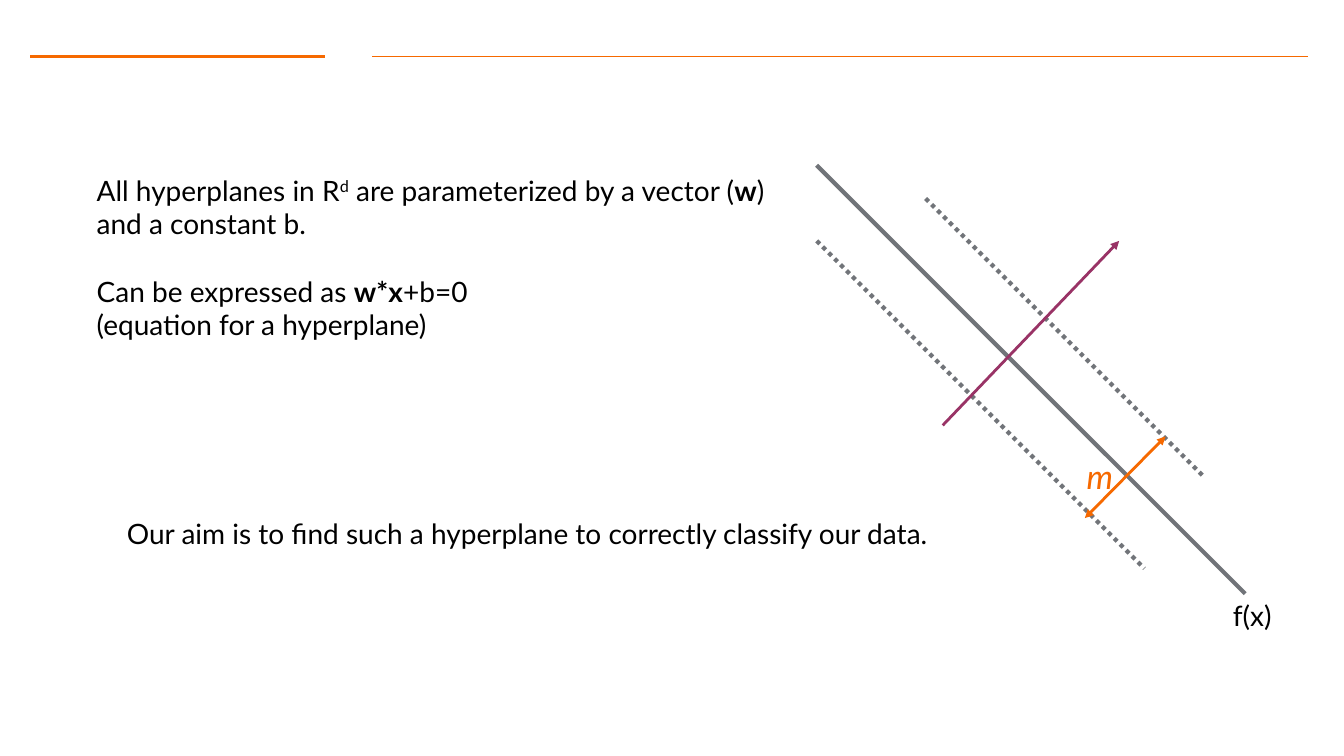
from lxml.etree import SubElement
from pptx import Presentation
from pptx.dml.color import RGBColor
from pptx.enum.dml import MSO_LINE_DASH_STYLE as Dash
from pptx.enum.shapes import MSO_CONNECTOR as Connector
from pptx.enum.text import MSO_AUTO_SIZE as AutoSize
from pptx.oxml.ns import qn
from pptx.util import Inches, Pt

ORANGE, GREY, PURPLE, BLACK = "F66900", "717479", "993366", "000000"


def colour(value):
    return RGBColor.from_string(value)


class HyperplanePage:
    font_name = "Lato"

    def __init__(self, page):
        self.page = page

    def line(self, start, end, shade, width, dash=None, arrows=()):
        points = [Inches(value) for value in (*start, *end)]
        connector = self.page.shapes.add_connector(Connector.STRAIGHT, *points)
        connector.line.color.rgb = colour(shade)
        for name, value in {"width": Pt(width), "dash_style": dash}.items():
            setattr(connector.line, name, value)
        properties = connector._element.spPr
        outline = properties.find(qn("a:ln"))
        for arrow in arrows:
            SubElement(outline, qn(f"a:{arrow}"), type="triangle")
        SubElement(properties, qn("a:effectLst"))

    def text(self, place, paragraphs, size=20, shade=BLACK, wrap=True, gaps=None):
        box = self.page.shapes.add_textbox(*[Inches(value) for value in place])
        frame = box.text_frame
        for name, value in {"word_wrap": wrap, "auto_size": AutoSize.SHAPE_TO_FIT_TEXT}.items():
            setattr(frame, name, value)
        for index, spans in enumerate(paragraphs):
            para = frame.add_paragraph() if index else frame.paragraphs[0]
            if gaps and index in gaps:
                para.space_before = Pt(gaps[index])
            for words, style in spans:
                self.span(para, words, size, shade, style)

    def span(self, para, words, size, shade, style):
        span = para.add_run()
        span.text = words
        values = {"name": self.font_name, "size": Pt(size), "bold": style == "bold",
                  "italic": style == "italic"}
        for name, value in values.items():
            setattr(span.font, name, value)
        span.font.color.rgb = colour(shade)
        if style == "superscript":
            span._r.get_or_add_rPr().set("baseline", "30000")


def main():
    deck = Presentation()
    deck.slide_width, deck.slide_height = Inches(13.33), Inches(7.5)
    page = HyperplanePage(deck.slides.add_slide(deck.slide_layouts[6]))

    page.line((0.3, 0.56), (3.22, 0.56), ORANGE, 2)
    page.line((3.69, 0.56), (12.97, 0.56), ORANGE, 1)

    diagonals = [
        (9.18, 1.97, 2.75, Dash.ROUND_DOT),
        (8.1, 2.39, 3.25, Dash.ROUND_DOT),
        (8.1, 1.64, 4.25, None),
    ]
    for left, top, extent, dash in diagonals:
        page.line((left, top), (left + extent, top + extent), GREY, 3, dash)
    page.line((11.56, 4.33), (10.76, 5.14), ORANGE, 2, arrows=("headEnd", "tailEnd"))
    page.text((10.68, 4.47, 0.48, 0.5), [[("m", "italic")]], 24, ORANGE, wrap=False)
    page.line((9.35, 4.22), (11.1, 2.39), PURPLE, 2, arrows=("tailEnd",))

    page.text((0.86, 1.67, 7.02, 1.78), [
        [("All hyperplanes in R", None), ("d", "superscript"),
         (" are parameterized by a vector (", None), ("w", "bold"),
         (") and a constant b.", None)],
        [("Can be expressed as ", None), ("w*x", "bold"), ("+b=0", None)],
        [("(equation for a hyperplane)", None)],
    ], gaps={1: 24})
    page.text((1.16, 5.08, 8.56, 0.44), [
        [("Our aim is to find such a hyperplane to correctly classify our data.", None)],
    ])
    page.text((12.13, 5.89, 0.64, 0.4), [[("f(x)", None)]], wrap=False)

    deck.save("out.pptx")


if __name__ == "__main__":
    main()
